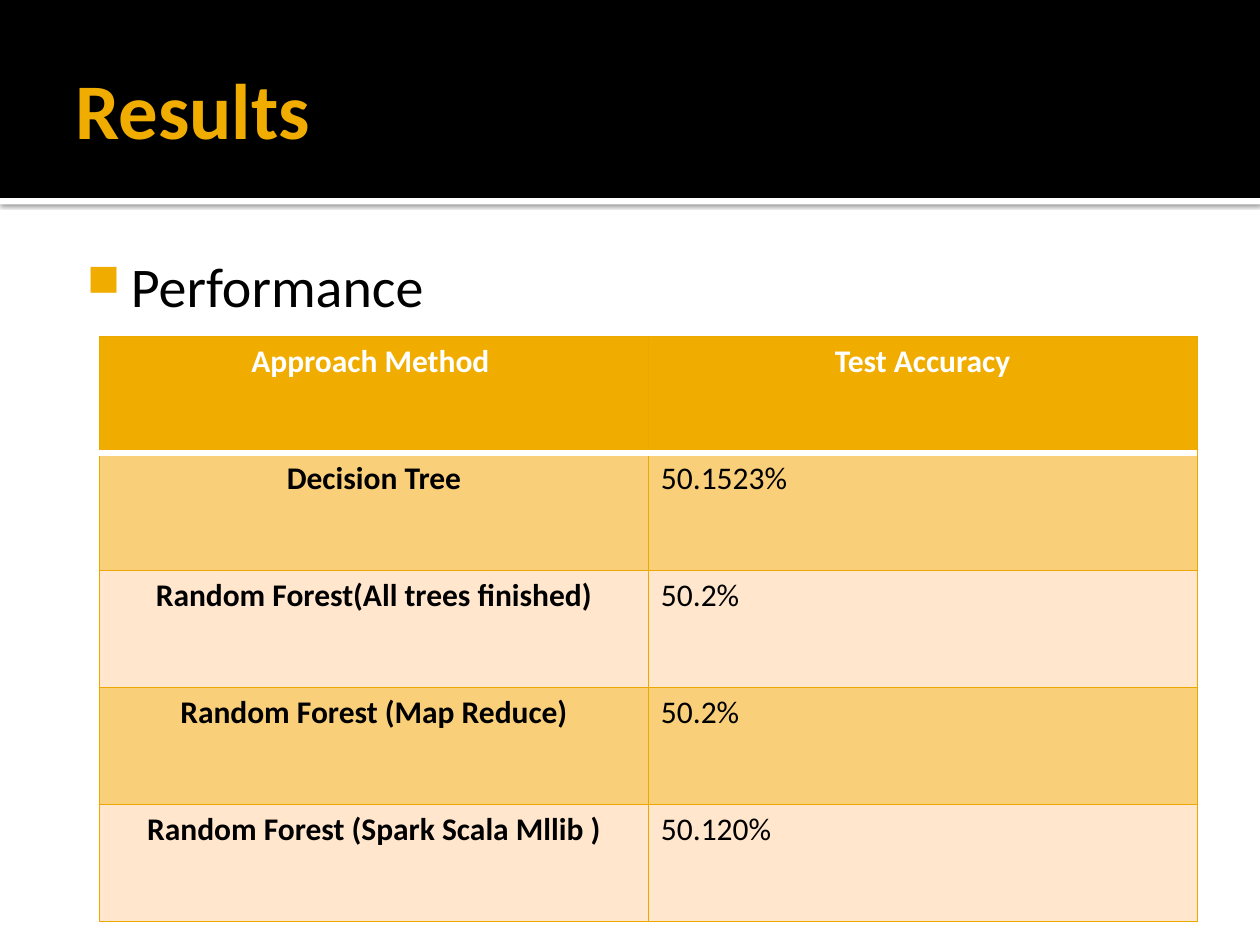
import pptx
import pptx.dml.color
import pptx.enum.shapes
import pptx.enum.text
import pptx.oxml
import pptx.oxml.ns
import pptx.util
from pptx.util import Cm

RGBColor = pptx.dml.color.RGBColor
BLACK = RGBColor(0x00, 0x00, 0x00)
WHITE = RGBColor(0xFF, 0xFF, 0xFF)
AMBER = RGBColor(0xF0, 0xAD, 0x00)
BORDER = RGBColor(0xEB, 0xA9, 0x00)
DARK_BAND = RGBColor(0xF9, 0xCF, 0x7A)
LIGHT_BAND = RGBColor(0xFF, 0xE6, 0xCC)

PP_ALIGN = pptx.enum.text.PP_ALIGN
MSO_ANCHOR = pptx.enum.text.MSO_ANCHOR
NAMESPACE = pptx.oxml.ns.nsdecls("a")

RESULTS = [
    ("Approach Method ", " Test Accuracy "),
    ("Decision Tree", "50.1523%"),
    ("Random Forest(All trees finished)", "50.2%"),
    ("Random Forest (Map Reduce)", "50.2%"),
    ("Random Forest (Spark Scala Mllib )", "50.120%"),
]


def apply_format(target, values):
    for name, value in values.items():
        setattr(target, name, value)


class SlideBuilder:
    font_name = "Calibri"

    def __init__(self, presentation):
        self.slide = presentation.slides.add_slide(presentation.slide_layouts[6])

    def styled_run(self, paragraph, text, size, color, bold=False):
        run = paragraph.add_run()
        run.text = text
        apply_format(run.font, {
            "name": self.font_name, "size": pptx.util.Pt(size), "bold": bold,
        })
        run.font.color.rgb = color

    def bar(self, top, height, color):
        shape = self.slide.shapes.add_shape(
            pptx.enum.shapes.MSO_SHAPE.RECTANGLE, 0, top, Cm(25.4), height)
        shape.fill.solid()
        shape.fill.fore_color.rgb = color
        shape.line.fill.background()
        shape.shadow.inherit = False
        return shape

    def shadow(self, shape):
        effects = shape.element.spPr.find(pptx.oxml.ns.qn("a:effectLst"))
        effects.append(pptx.oxml.parse_xml(
            f'<a:outerShdw {NAMESPACE} blurRad="31750" dist="10160" dir="5400000">'
            f'<a:srgbClr val="{BLACK}"><a:alpha val="60000"/></a:srgbClr></a:outerShdw>'))

    def text(self, box, text, size, color, frame_format, bold=False):
        frame = self.slide.shapes.add_textbox(*box).text_frame
        apply_format(frame, {"word_wrap": True, **frame_format})
        paragraph = frame.paragraphs[0]
        self.styled_run(paragraph, text, size, color, bold)
        return paragraph

    def bullet(self, paragraph):
        properties = paragraph._p.get_or_add_pPr()
        properties.set("marL", str(Cm(1.22)))
        properties.set("indent", str(-Cm(0.89)))
        for markup in (f'<a:buClr {NAMESPACE}><a:srgbClr val="{AMBER}"/></a:buClr>',
                       f'<a:buSzPct {NAMESPACE} val="80000"/>',
                       f'<a:buChar {NAMESPACE} char="■"/>'):
            properties.append(pptx.oxml.parse_xml(markup))

    def borders(self, cell, row):
        thin, thick = (BORDER, 0.5), (WHITE, 3.78)
        sides = {
            "L": thin, "R": thin,
            "T": thick if row == 1 else thin,
            "B": thick if row == 0 else thin,
        }
        properties = cell._tc.get_or_add_tcPr()
        for position, (side, (color, width)) in enumerate(sides.items()):
            properties.insert(position, pptx.oxml.parse_xml(
                f'<a:ln{side} {NAMESPACE} w="{pptx.util.Pt(width)}"><a:solidFill>'
                f'<a:srgbClr val="{color}"/></a:solidFill></a:ln{side}>'))

    def table(self, box, rows):
        table = self.slide.shapes.add_table(len(rows), len(rows[0]), *box).table
        for row, values in enumerate(rows):
            header = row == 0
            band = AMBER if header else DARK_BAND if row % 2 else LIGHT_BAND
            for column, value in enumerate(values):
                cell = table.cell(row, column)
                cell.fill.solid()
                cell.fill.fore_color.rgb = band
                self.borders(cell, row)
                emphasized = header or column == 0
                paragraph = cell.text_frame.paragraphs[0]
                paragraph.alignment = PP_ALIGN.CENTER if emphasized else PP_ALIGN.LEFT
                self.styled_run(paragraph, value, 18, WHITE if header else BLACK, emphasized)


def main():
    presentation = pptx.Presentation()
    apply_format(presentation, {"slide_width": Cm(25.4), "slide_height": Cm(19.05)})
    builder = SlideBuilder(presentation)

    builder.shadow(builder.bar(Cm(3.99), Cm(0.13), WHITE))
    builder.bar(0, Cm(3.99), BLACK)
    builder.text(
        (Cm(1.27), Cm(0.43), Cm(22.86), Cm(3.48)), "Results", 45, AMBER,
        {"vertical_anchor": MSO_ANCHOR.MIDDLE, "margin_left": Cm(0.25),
         "margin_right": Cm(0.13), "margin_top": Cm(0.13), "margin_bottom": Cm(0.13)},
        bold=True)
    performance = builder.text(
        (Cm(1.27), Cm(4.83), Cm(22.86), Cm(12.85)), "Performance", 32, BLACK,
        {"vertical_anchor": MSO_ANCHOR.TOP, "margin_left": Cm(0.15),
         "margin_right": Cm(0.25), "margin_top": Cm(0.25), "margin_bottom": Cm(0.13)})
    builder.bullet(performance)
    builder.table((Cm(2.01), Cm(6.78), Cm(22.12), Cm(11.79)), RESULTS)

    presentation.save("out.pptx")


if __name__ == "__main__":
    main()
